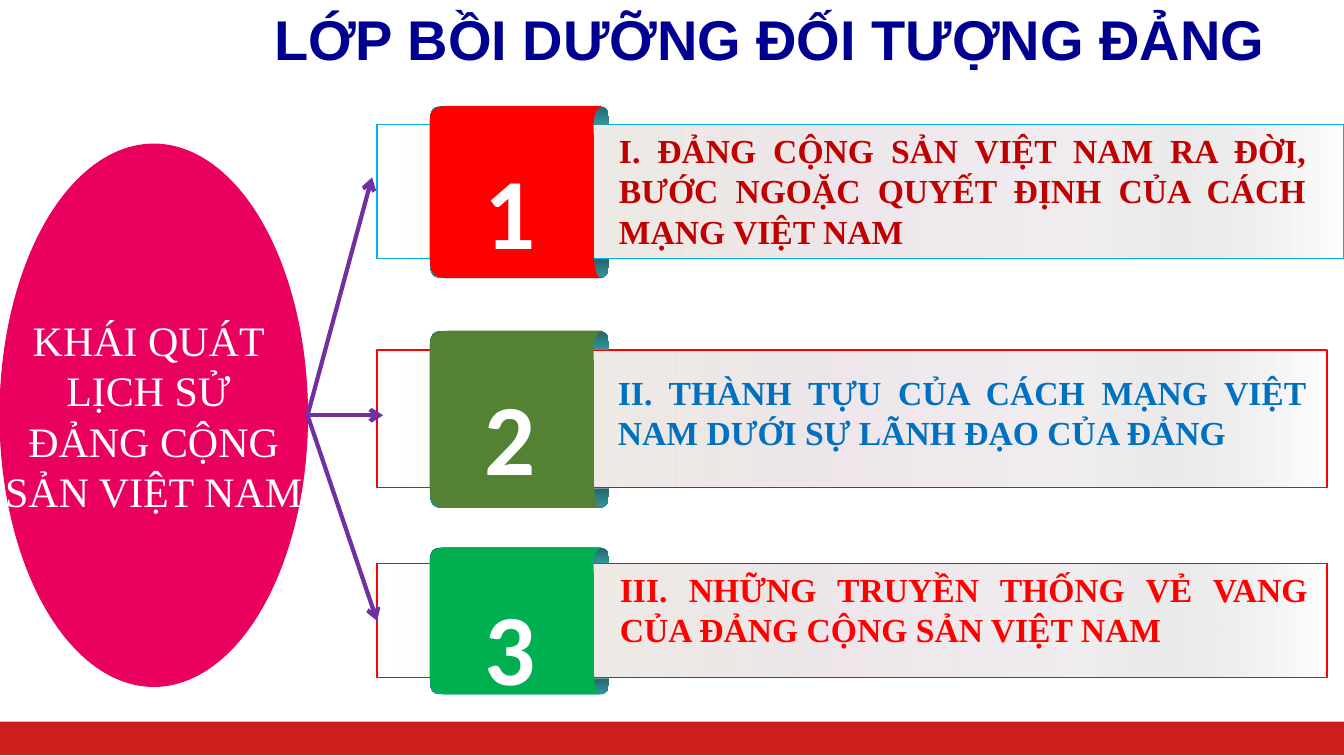
from dataclasses import dataclass

import lxml.etree
import pptx
import pptx.dml.color
import pptx.enum.shapes
import pptx.enum.text
import pptx.oxml.ns
import pptx.util

Inches = pptx.util.Inches
Pt = pptx.util.Pt
Align = pptx.enum.text.PP_ALIGN
Anchor = pptx.enum.text.MSO_ANCHOR
Shape = pptx.enum.shapes.MSO_SHAPE
qn = pptx.oxml.ns.qn


@dataclass(frozen=True)
class Theme:
    white: str = "FFFFFF"
    bar: str = "CD1D1D"
    title: str = "000090"
    topic: str = "EA005F"
    arrow: str = "7030A0"
    title_font: str = "Arial"
    number_font: str = "Calibri"
    body_font: str = "Times New Roman"
    title_size: int = 40
    number_size: int = 72
    topic_size: int = 30
    body_size: int = 24
    panel_stops: tuple = ((0, "C8C7C6", 0), (25, "F0EDEF", 100), (50, "EEE6EB", 100),
                          (85, "E2DCD1", 52), (98, "EFEBE5", 0))
    flap_stops: tuple = ((0, "266568", 100), (100, "3296A0", 100))


THEME = Theme()

FACE = [[(5.97, 0)], [(4.57, 0)], [(4.32, 0), (4.26, 0), (4.26, 0.11)],
        [(4.26, 0.84)], [(4.26, 1), (4.31, 1), (4.51, 1)], [(5.98, 1)],
        [(5.92, 1), (5.89, 0.97), (5.89, 0.81)], [(5.89, 0.22)],
        [(5.89, 0.09), (5.87, 0.03), (5.97, 0)]]
FLAP = [[(6.04, 1)], [(4.26, 1)], [(4.27, 0.2), (4.28, 0), (4.43, 0)],
        [(5.91, 0)], [(6.04, 0), (6.04, 0.35), (6.04, 1)]]

ROWS = [
    dict(number="1", top=1.05, height=1.71, width=9.59, face="FF0000", edge="00B0F0",
         ink="C00000", text_box=(6.04, 1.24, 7.01, 1.04),
         text="I. ĐẢNG CỘNG SẢN VIỆT NAM RA ĐỜI, BƯỚC NGOẶC QUYẾT ĐỊNH CỦA CÁCH MẠNG VIỆT NAM"),
    dict(number="2", top=3.28, height=1.76, width=9.42, face="548235", edge="FF0000",
         ink="0070C0", text_box=(6.03, 3.64, 7.02, 0.8),
         text="II. THÀNH TỰU CỦA CÁCH MẠNG VIỆT NAM DƯỚI SỰ LÃNH ĐẠO CỦA ĐẢNG"),
    dict(number="3", top=5.43, height=1.46, width=9.42, face="00B050", edge="FF0000",
         ink="FF0000", text_box=(6.05, 5.59, 7.02, 0.91),
         text="III. NHỮNG TRUYỀN THỐNG VẺ VANG CỦA ĐẢNG CỘNG SẢN VIỆT NAM"),
]


def rgb(code):
    return pptx.dml.color.RGBColor.from_string(code)


def apply(target, values):
    for name, value in values.items():
        setattr(target, name, value)


def paint(shape, fill=None, line=None, weight=1):
    shape.shadow.inherit = False
    if fill:
        shape.fill.solid()
        shape.fill.fore_color.rgb = rgb(fill)
    if line:
        shape.line.color.rgb = rgb(line)
        shape.line.width = Pt(weight)
    else:
        shape.line.fill.background()


def paint_gradient(shape, stops, angle):
    shape.fill.gradient()
    gradient = shape._element.spPr.find(qn("a:gradFill"))
    for child in list(gradient):
        gradient.remove(child)
    stop_list = lxml.etree.SubElement(gradient, qn("a:gsLst"))
    for position, code, opacity in stops:
        stop = lxml.etree.SubElement(stop_list, qn("a:gs"), pos=str(position * 1000))
        color = lxml.etree.SubElement(stop, qn("a:srgbClr"), val=code)
        if opacity < 100:
            lxml.etree.SubElement(color, qn("a:alpha"), val=str(opacity * 1000))
    lxml.etree.SubElement(gradient, qn("a:lin"), ang=str(angle * 60000), scaled="0")


def write(shape, lines, font, size, color, frame=None, para=None, bold=True):
    box = shape.text_frame
    apply(box, {"word_wrap": True, **(frame or {})})
    for index, line in enumerate(lines):
        paragraph = box.add_paragraph() if index else box.paragraphs[0]
        apply(paragraph, {"alignment": Align.CENTER, **(para or {})})
        span = paragraph.add_run()
        span.text = line
        apply(span.font, {"name": font, "size": Pt(size), "bold": bold})
        span.font.color.rgb = rgb(color)


def add_preset(parent, kind, box):
    return parent.shapes.add_shape(kind, *map(Inches, box))


def add_text(parent, box, *content, **options):
    write(parent.shapes.add_textbox(*map(Inches, box)), *content, **options)


def add_outline(parent, segments, origin, scale):
    points = [(Inches(x), Inches(origin + scale * y))
              for segment in segments for x, y in segment]
    builder = parent.shapes.build_freeform(*points[0])
    builder.add_line_segments(points[1:], close=True)
    shape = builder.convert_to_shape()
    lines = shape._element.iter(qn("a:lnTo"))
    steps = iter(list(lines))
    for segment in segments[1:]:
        first, *others = [next(steps) for point in segment]
        if others:
            first.tag = qn("a:cubicBezTo")
        for other in others:
            first.append(other[0])
            other.getparent().remove(other)
    return shape


def add_row(page, row):
    group = page.shapes.add_group_shape()
    top, height = row["top"], row["height"]
    flap_height = 0.11 * height
    panel = add_preset(group, Shape.RECTANGLE,
                       (3.74, top + flap_height, row["width"], 0.775 * height))
    paint(panel, line=row["edge"])
    paint_gradient(panel, THEME.panel_stops, 180)
    for edge, direction in ((top, 1), (top + height, -1)):
        flap = add_outline(group, FLAP, edge, direction * flap_height)
        paint(flap)
        paint_gradient(flap, THEME.flap_stops, 90)
    paint(add_outline(group, FACE, top, height), row["face"])
    grow = {"auto_size": pptx.enum.text.MSO_AUTO_SIZE.SHAPE_TO_FIT_TEXT}
    add_text(group, (4.26, top + 0.22 * height, 1.6, 0.55 * height), [row["number"]],
             THEME.number_font, THEME.number_size, THEME.white, frame=grow)
    add_text(group, row["text_box"], [row["text"]], THEME.body_font, THEME.body_size,
             row["ink"], frame=grow, para={"alignment": Align.JUSTIFY})


def add_topic(page):
    topic = add_preset(page, Shape.OVAL, (0, 1.43, 3.05, 5.38))
    paint(topic, THEME.topic, THEME.topic, 0.75)
    write(topic, ["KHÁI QUÁT ", "LỊCH SỬ ", "ĐẢNG CỘNG", "SẢN VIỆT NAM"],
          THEME.body_font, THEME.topic_size, THEME.white, bold=False,
          frame={"word_wrap": False, "vertical_anchor": Anchor.MIDDLE})


def add_arrow(page, start, end):
    arrow = page.shapes.add_connector(pptx.enum.shapes.MSO_CONNECTOR.STRAIGHT,
                                      *map(Inches, start + end))
    arrow.line.color.rgb = rgb(THEME.arrow)
    arrow.line.width = Pt(3)
    line = arrow._element.spPr.find(qn("a:ln"))
    lxml.etree.SubElement(line, qn("a:tailEnd"), type="arrow")
    lxml.etree.SubElement(arrow._element.spPr, qn("a:effectLst"))


def main():
    deck = pptx.Presentation()
    apply(deck, {"slide_width": Inches(13.33), "slide_height": Inches(7.5)})
    page = deck.slides.add_slide(deck.slide_layouts[6])
    paint(add_preset(page, Shape.RECTANGLE, (0, 7.16, 13.33, 0.33)), THEME.bar)
    add_text(page, (1.93, 0, 11.4, 0.85), ["LỚP BỒI DƯỠNG ĐỐI TƯỢNG ĐẢNG"],
             THEME.title_font, THEME.title_size, THEME.title,
             frame={"vertical_anchor": Anchor.MIDDLE}, para={"line_spacing": 0.9})
    for row in ROWS[:2]:
        add_row(page, row)
    add_topic(page)
    add_row(page, ROWS[2])
    for end in ((3.69, 1.76), (3.8, 4.12), (3.74, 6.16)):
        add_arrow(page, (3.05, 4.12), end)
    deck.save("out.pptx")


if __name__ == "__main__":
    main()
